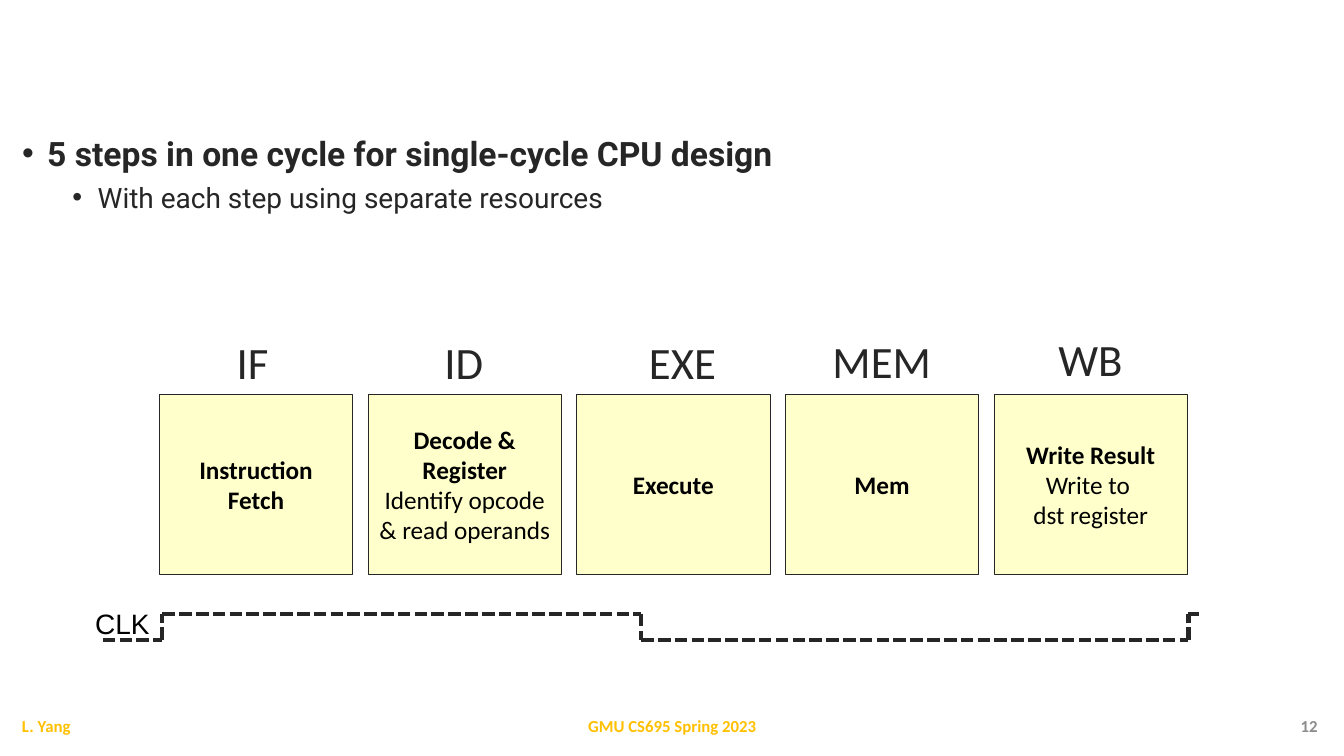
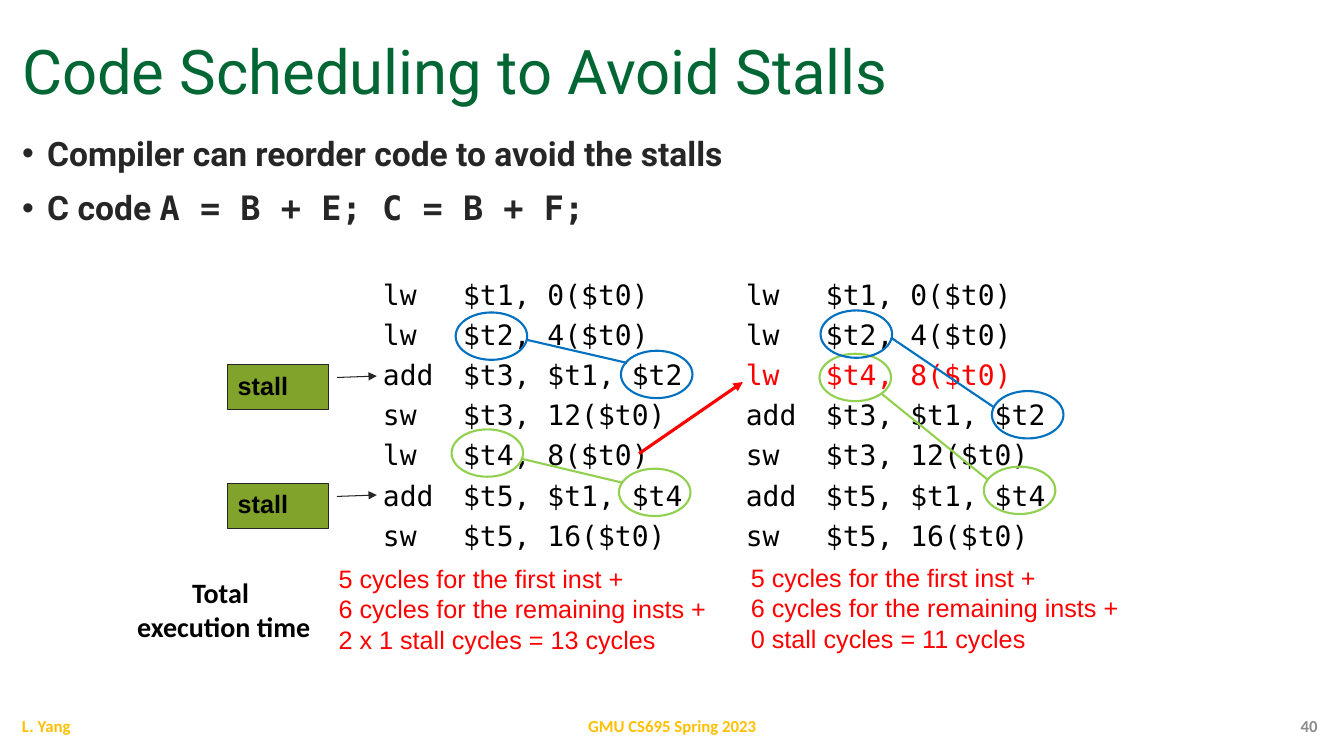
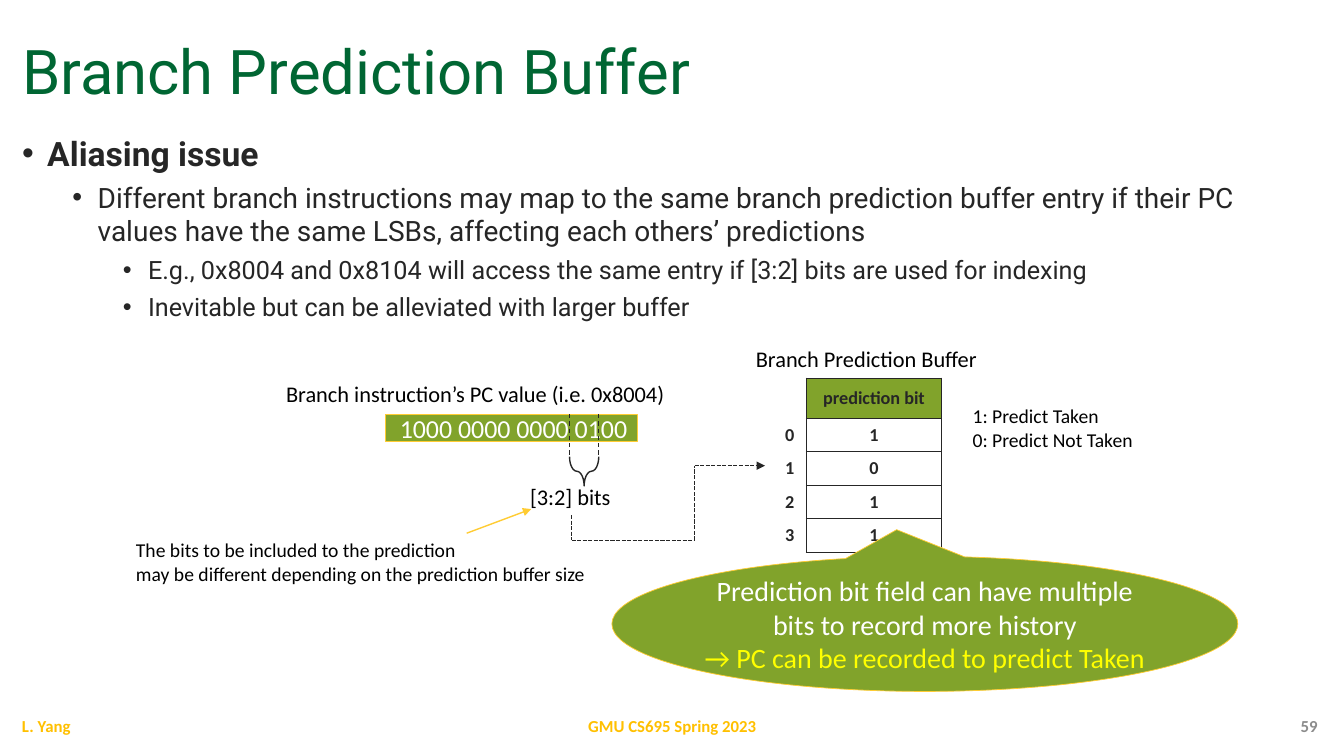
import dataclasses
import itertools
import typing

import lxml.etree
import pptx
import pptx.dml.color
import pptx.enum.dml
import pptx.enum.shapes
import pptx.enum.text
import pptx.oxml.ns
import pptx.util

RGBColor = pptx.dml.color.RGBColor
Pt = pptx.util.Pt
SHAPE = pptx.enum.shapes.MSO_SHAPE
DASH = pptx.enum.dml.MSO_LINE
ALIGN = pptx.enum.text.PP_ALIGN
ANCHOR = pptx.enum.text.MSO_ANCHOR
qn = pptx.oxml.ns.qn

# All positions count cells of a grid: 133.33 columns by 75 rows.
CELL = pptx.util.Inches(0.1)
COLUMNS, ROWS = 133.33, 75

BLACK = RGBColor(0x00, 0x00, 0x00)
WHITE = RGBColor(0xFF, 0xFF, 0xFF)
INK = RGBColor(0x26, 0x26, 0x26)
GRAY = RGBColor(0x8C, 0x8C, 0x8C)
GOLD = RGBColor(0xFF, 0xC0, 0x00)
AMBER = RGBColor(0xFF, 0xCC, 0x33)
CREAM = RGBColor(0xFF, 0xFF, 0xCC)
YELLOW = RGBColor(0xFF, 0xFF, 0x00)
TITLE_GREEN = RGBColor(0x00, 0x66, 0x33)
OLIVE = RGBColor(0x81, 0xA3, 0x2B)
LIME = RGBColor(0x92, 0xD0, 0x50)
BLUE = RGBColor(0x00, 0x70, 0xC0)
RED = RGBColor(0xFF, 0x00, 0x00)


def look(name, size, color, bold=False):
    return {"name": name, "size": Pt(size), "color": color, "bold": bold}


TITLE = look("Roboto", 44, TITLE_GREEN)
BODY = [look("Roboto", 24, INK, True), look("Roboto", 20, INK), look("Roboto", 18, INK)]
FOOTER = look("Calibri", 12, GOLD, True)
CODE = look("DejaVu Sans Mono", 20, BLACK)
CAPTION = look("Calibri", 16, BLACK)
NOTE = look("Calibri", 14, BLACK)
PLAIN, STRONG = {"bold": False}, {"bold": True}


def add_span(para, text, style):
    span = para.add_run()
    span.text = text
    for key, value in style.items():
        if key == "color":
            span.font.color.rgb = value
        else:
            setattr(span.font, key, value)


def write(frame, lines, style, align=ALIGN.LEFT, gap=0, tab=None):
    """Fill a frame; a line is a string or a (string, style changes) pair."""
    for index, line in enumerate(lines):
        text, changes = (line, {}) if isinstance(line, str) else line
        para = frame.paragraphs[0] if index == 0 else frame.add_paragraph()
        if tab:
            stops = lxml.etree.SubElement(para._p.get_or_add_pPr(), qn("a:tabLst"))
            lxml.etree.SubElement(stops, qn("a:tab"), pos=str(int(tab * CELL)), algn="l")
        para.alignment = align
        if index and gap:
            para.space_before = Pt(gap)
        add_span(para, text, {**style, **changes})


def set_line(shape, color, width, dash=None, arrow=False):
    shape.line.color.rgb = color
    shape.line.width = Pt(width)
    if dash:
        shape.line.dash_style = dash
    if arrow:
        lxml.etree.SubElement(shape.element.spPr.get_or_add_ln(), qn("a:tailEnd"), type="triangle")


@dataclasses.dataclass
class Region:
    """Part of a page whose contents are placed from its top left cell."""
    page: typing.Any
    left: float = 0
    top: float = 0

    def place(self, left, top, width, height):
        cells = (self.left + left, self.top + top, width, height)
        return [int(cell * CELL) for cell in cells]

    def text(self, box, lines, style, wrap=True, anchor=ANCHOR.TOP, fill=None, **layout):
        label = self.page.shapes.add_textbox(*self.place(*box))
        if fill is not None:
            label.fill.solid()
            label.fill.fore_color.rgb = fill
        frame = label.text_frame
        frame.word_wrap = wrap
        frame.vertical_anchor = anchor
        if not wrap:
            frame.auto_size = pptx.enum.text.MSO_AUTO_SIZE.SHAPE_TO_FIT_TEXT
        write(frame, lines, style, **layout)
        return label

    def shape(self, kind, box, line, fill=None, adjust=(), arrow=False):
        shape = self.page.shapes.add_shape(kind, *self.place(*box))
        shape.shadow.inherit = False
        for index, value in enumerate(adjust):
            shape.adjustments[index] = value
        if fill is None:
            shape.fill.background()
        else:
            shape.fill.solid()
            shape.fill.fore_color.rgb = fill
        set_line(shape, *line, arrow=arrow)
        return shape

    def trace(self, points, color, width, dash=None, arrow=False):
        """Join the points in turn; an arrowhead goes on the last one."""
        pairs = list(itertools.pairwise(points))
        for index, (start, end) in enumerate(pairs):
            begin = self.place(*start, 0, 0)[:2]
            finish = self.place(*end, 0, 0)[:2]
            connector = self.page.shapes.add_connector(
                pptx.enum.shapes.MSO_CONNECTOR.STRAIGHT, *begin, *finish)
            set_line(connector, color, width, dash, arrow and index == len(pairs) - 1)
            lxml.etree.SubElement(connector.element.spPr, qn("a:effectLst"))


def add_page(deck, number, title=None):
    page = deck.slides.add_slide(deck.slide_layouts[6])
    whole = Region(page)
    if title:
        label = whole.text((1.2, 1.7, 130.5, 9.5), [title], TITLE, anchor=ANCHOR.BOTTOM)
        label.text_frame.paragraphs[0].line_spacing = 0.9
    footers = [
        (1.2, 30, "L. Yang", GOLD, ALIGN.LEFT),
        (44.2, 45, "GMU CS695 Spring 2023", GOLD, ALIGN.CENTER),
        (101.7, 30, str(number), GRAY, ALIGN.RIGHT),
    ]
    for left, width, text, color, align in footers:
        whole.text((left, 70, width, 4), [(text, {"color": color})], FOOTER,
                   anchor=ANCHOR.MIDDLE, align=align)
    return page


def add_bullets(page, items):
    """Write the body; an item is its level, then (text, style changes) pairs."""
    frame = Region(page).text((1.2, 12.7, 130.5, 56.3), [], {}).text_frame
    for index, (level, *pieces) in enumerate(items):
        para = frame.paragraphs[0] if index == 0 else frame.add_paragraph()
        para.level = level
        properties = para._p.get_or_add_pPr()
        properties.set("marL", str(int((2.5 + 5 * level) * CELL)))
        properties.set("indent", str(int(-2.5 * CELL)))
        lxml.etree.SubElement(properties, qn("a:buFont"), typeface="Arial")
        lxml.etree.SubElement(properties, qn("a:buChar"), char="•")
        if index:
            para.space_before = Pt(5 if level else 10)
        for text, changes in pieces:
            add_span(para, text, {**BODY[level], **changes})


def add_stages(region):
    """Five pipeline stages, each a box under its short name."""
    pitch, width, height = 20.7, 19.2, 17.9
    stages = [
        ("IF", 6.7, 5.2, 0, [("Instruction Fetch", STRONG)]),
        ("ID", 6.6, 5.9, 0, [("Decode & Register", STRONG), "Identify opcode & read operands"]),
        ("EXE", 6.2, 8.7, 0, [("Execute", STRONG)]),
        ("MEM", 3.7, 11.9, -0.1, [("Mem", STRONG)]),
        ("WB", 5.4, 8.5, -0.3, [("Write Result", STRONG), "Write to ", "dst register"]),
    ]
    for index, (name, indent, name_width, shift, lines) in enumerate(stages):
        left = index * pitch
        stage = region.shape(SHAPE.RECTANGLE, (left, 6.4, width, height), (INK, 0.5), CREAM)
        write(stage.text_frame, lines, look("Calibri", 18, BLACK), ALIGN.CENTER)
        region.text((left + indent, shift, name_width, 6.4), [name],
                    look("Calibri", 32, INK), wrap=False)


def add_clock(region):
    region.text((0, 0, 10.1, 4.4), ["CLK"], look("Arial", 20, BLACK), align=ALIGN.CENTER)
    low, high = 3.8, 1.2
    rise, fall, next_rise = 9, 56.5, 110.8
    wave = [(3.1, low), (rise, low), (rise, high), (fall, high), (fall, low),
            (next_rise, low), (next_rise, high), (111.8, high)]
    region.trace(wave, INK, 3, DASH.SQUARE_DOT)


def add_listing(region, lines):
    region.text((0, 0, 31.9, 28.6), lines, CODE, wrap=False, fill=WHITE, gap=4.7, tab=7.95)


def add_dependence(region, color, source, target, link):
    """Circle a register where it is loaded and used, and link the two."""
    for left, top in (source, target):
        region.shape(SHAPE.OVAL, (left, top, 7.1, 4.7), (color, 1.5))
    region.trace(link, color, 1.5)


def add_stall(region):
    stall = region.shape(SHAPE.LINE_CALLOUT_1, (0, 0, 10, 4.4), (INK, 0.75), OLIVE,
                         (0.285, 1.083, 0.253, 1.479), arrow=True)
    stall.text_frame.vertical_anchor = ANCHOR.TOP
    write(stall.text_frame, ["stall"], look("Arial", 18, BLACK, True))


def add_cycle_count(region, last_line, fill=None):
    lines = ["5 cycles for the first inst +", "6 cycles for the remaining insts +", last_line]
    region.text((0, 0, 43.9, 10.1), lines, look("Arial", 18, RED), fill=fill)


def add_address(region):
    """The branch address, with the bits that index the buffer marked."""
    region.text((0, 0, 40.4, 3.7), ["Branch instruction’s PC value (i.e. 0x8004)"],
                CAPTION, wrap=False)
    address = region.shape(SHAPE.RECTANGLE, (10.8, 3.9, 25, 2.7), (AMBER, 0.5), OLIVE)
    write(address.text_frame, ["1000 0000 0000 0100"], look("Calibri", 18.5, WHITE), ALIGN.RIGHT)
    brace = region.shape(SHAPE.LEFT_BRACE, (29.1, 8.1, 2.9, 2.9), (INK, 1), adjust=(0.39, 0.5))
    brace.rotation = 270
    for left in (29.1, 32):
        region.trace([(left, 3.9), (left, 8.1)], INK, 0.75, DASH.DASH)
    region.text((24.2, 10.2, 10.2, 3.7), ["[3:2] bits"], CAPTION, wrap=False)
    region.text((-14.9, 15.7, 47.1, 5.7),
                ["The bits to be included to the prediction",
                 "may be different depending on the prediction buffer size"], NOTE, wrap=False)
    region.trace([(18.9, 15.7), (25.3, 13.3)], AMBER, 1, arrow=True)
    region.trace([(29.3, 13.9), (29.3, 16.4), (41.5, 16.4), (41.5, 9), (48.5, 9)],
                 INK, 1, DASH.SQUARE_DOT, arrow=True)


def set_borders(cell, sides):
    properties = cell._tc.get_or_add_tcPr()
    for side in sides:
        border = lxml.etree.SubElement(properties, qn("a:ln" + side), w=str(Pt(0.75)))
        fill = lxml.etree.SubElement(border, qn("a:solidFill"))
        lxml.etree.SubElement(fill, qn("a:srgbClr"), val=str(INK))


def add_buffer_table(region):
    region.text((0.8, 0, 24.5, 3.7), ["Branch Prediction Buffer"], CAPTION, wrap=False)
    rows = [("", "prediction bit"), ("0", "1"), ("1", "0"), ("2", "1"), ("3", "1")]
    row_height = 3.32
    frame = region.page.shapes.add_table(
        len(rows), 2, *region.place(0, 3.7, 20.2, row_height * len(rows)))
    table = frame.table
    table.first_row = table.horz_banding = False
    for column, width in zip(table.columns, (6.8, 13.4)):
        column.width = int(width * CELL)
    margins = {"margin_left": 1.2, "margin_right": 1.2, "margin_top": 0.5, "margin_bottom": 0.5}
    for row_index, row in enumerate(rows):
        table.rows[row_index].height = int(row_height * CELL)
        for column_index, text in enumerate(row):
            cell = table.cell(row_index, column_index)
            set_borders(cell, "LRTB" if column_index else "R")
            for side, margin in margins.items():
                setattr(cell, side, int(margin * CELL))
            cell.vertical_anchor = ANCHOR.MIDDLE
            if column_index and not row_index:
                cell.fill.solid()
                cell.fill.fore_color.rgb = OLIVE
            else:
                cell.fill.background()
            write(cell.text_frame, [text], look("Calibri", 13, INK, True),
                  ALIGN.CENTER if column_index else ALIGN.RIGHT)
    region.text((22.3, 5.8, 18.1, 5.7), ["1: Predict Taken", "0: Predict Not Taken"],
                NOTE, wrap=False)


def add_history_callout(region):
    callout = region.shape(SHAPE.OVAL_CALLOUT, (0, 0, 62.1, 13.4), (AMBER, 0.5), OLIVE,
                           (-0.045, -0.698))
    frame = callout.text_frame
    for side in ("left", "top", "right", "bottom"):
        setattr(frame, "margin_" + side, 0)
    write(frame, ["Prediction bit field can have multiple bits to record more history",
                  ("→ PC can be recorded to predict Taken", {"color": YELLOW})],
          look("Calibri", 20, WHITE), ALIGN.CENTER)


def build_single_cycle(deck):
    page = add_page(deck, 12)
    add_bullets(page, [
        (0, ("5 steps in one cycle for single-cycle CPU design", {})),
        (1, ("With each step using separate resources", {})),
    ])
    add_stages(Region(page, 15.8, 32.7))
    add_clock(Region(page, 7.1, 59.7))


def build_scheduling(deck):
    page = add_page(deck, 40, "Code Scheduling to Avoid Stalls")
    add_bullets(page, [
        (0, ("Compiler can reorder code to avoid the stalls", {})),
        (0, ("C code ", {}), ("A = B + E; C = B + F;", {"name": "DejaVu Sans Mono"})),
    ])
    before, after = Region(page, 37, 27), Region(page, 73, 27)
    code = ["lw\t$t1, 0($t0)", "lw\t$t2, 4($t0)", "add\t$t3, $t1, $t2", "sw\t$t3, 12($t0)",
            "lw\t$t4, 8($t0)", "add\t$t5, $t1, $t4", "sw\t$t5, 16($t0)"]
    moved = (code[4], {"color": RED})
    add_listing(before, code)
    add_listing(after, code[:2] + [moved] + code[2:4] + code[5:])
    for top in (36.2, 48):
        add_stall(Region(page, 22.6, top))
    add_cycle_count(Region(page, 32.6, 55.4), "2 x 1 stall cycles = 13 cycles")
    add_cycle_count(Region(page, 73.5, 55.3), "0 stall cycles = 11 cycles", WHITE)
    Region(page, 12.4, 56.6).text((0, 0, 19.6, 8), ["Total ", "execution time"],
                                  look("Calibri", 20, BLACK, True), wrap=False,
                                  align=ALIGN.CENTER)
    before.trace([(26.4, 18), (36.7, 10.9)], RED, 2.25, arrow=True)
    add_dependence(before, LIME, (7.8, 15.6), (24.4, 19.5), [(14.7, 18.5), (24.8, 20.9)])
    add_dependence(before, BLUE, (8.2, 4), (24.6, 7.8), [(15.2, 6.7), (25.2, 9)])
    add_dependence(after, LIME, (8.3, 8.1), (24.6, 19.3), [(14.5, 12.1), (25, 20.6)])
    add_dependence(after, BLUE, (8.4, 3.8), (25.4, 11.8), [(15.4, 6.5), (25.6, 13.4)])


def build_prediction(deck):
    page = add_page(deck, 59, "Branch Prediction Buffer")
    add_bullets(page, [
        (0, ("Aliasing issue", {})),
        (1, ("Different branch instructions may map to the same branch prediction buffer entry "
             "if their PC values have the same LSBs, affecting each others’ predictions", {})),
        (2, ("E.g., 0x8004 and 0x8104 will access the same entry if [3:2] bits are used "
             "for indexing", {})),
        (2, ("Inevitable but can be alleviated with larger buffer", {})),
    ])
    add_address(Region(page, 27.4, 37.2))
    add_buffer_table(Region(page, 73.2, 33.8))
    add_history_callout(Region(page, 60.7, 55.2))


def main():
    deck = pptx.Presentation()
    deck.slide_width = int(COLUMNS * CELL)
    deck.slide_height = int(ROWS * CELL)
    build_single_cycle(deck)
    build_scheduling(deck)
    build_prediction(deck)
    deck.save("out.pptx")


if __name__ == "__main__":
    main()
